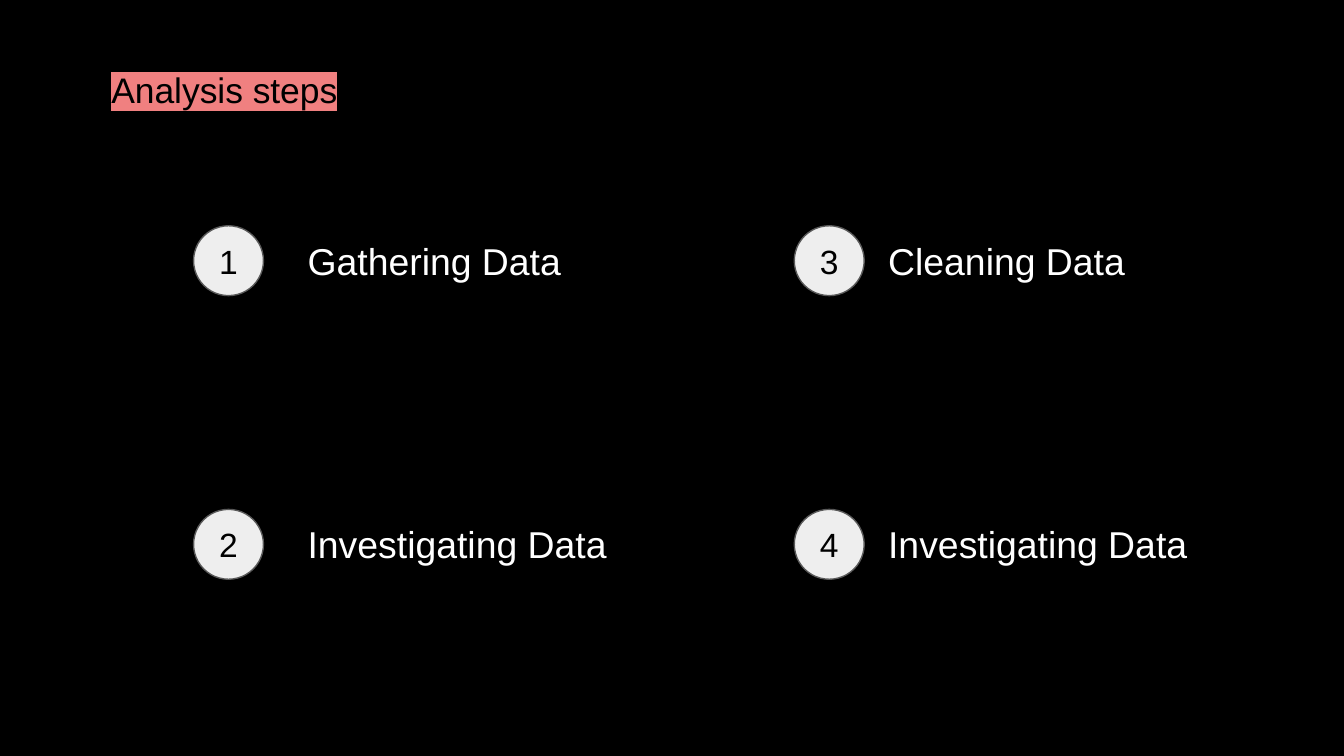
from dataclasses import dataclass

from lxml.etree import SubElement
from pptx import Presentation
from pptx.dml.color import RGBColor
from pptx.enum.shapes import MSO_SHAPE
from pptx.enum.text import MSO_AUTO_SIZE, PP_ALIGN
from pptx.oxml.ns import qn
from pptx.slide import Slide
from pptx.text.text import Font
from pptx.util import Inches, Pt

COLORS = {
    "background": "000000",
    "title": "000000",
    "highlight": "F08080",
    "badge": "EEEEEE",
    "outline": "595959",
    "number": "000000",
    "label": "FFFFFF",
}
FRAME_FORMAT = {
    "word_wrap": True,
    "auto_size": MSO_AUTO_SIZE.SHAPE_TO_FIT_TEXT,
    "margin_left": Inches(0.1),
    "margin_top": Inches(0.1),
    "margin_right": Inches(0.1),
    "margin_bottom": Inches(0.1),
}
SLIDE_WIDTH = Inches(10)
SLIDE_HEIGHT = SLIDE_WIDTH * 9 // 16
BADGE_SIZE = 0.52
ROW_TOPS = (1.68, 3.79)


@dataclass(frozen=True)
class StepColumn:
    badge_left: float
    label_left: float
    labels: tuple[str, ...]


@dataclass(frozen=True)
class TextStyle:
    size: int
    color: str
    align: PP_ALIGN = PP_ALIGN.LEFT


TITLE = TextStyle(19, "title")
NUMBER = TextStyle(18, "number", PP_ALIGN.CENTER)
LABEL = TextStyle(20, "label")
COLUMNS = (
    StepColumn(1.44, 2.19, ("Gathering Data", "Investigating Data")),
    StepColumn(5.91, 6.51, ("Cleaning Data", "Investigating Data")),
)


def rgb(name: str) -> RGBColor:
    return RGBColor.from_string(COLORS[name])


def add_text(slide: Slide, text: str, left: float, top: float,
             width: float, height: float, style: TextStyle) -> Font:
    box = slide.shapes.add_textbox(
        Inches(left), Inches(top), Inches(width), Inches(height))
    for name, value in FRAME_FORMAT.items():
        setattr(box.text_frame, name, value)
    paragraph = box.text_frame.paragraphs[0]
    paragraph.alignment = style.align
    run = paragraph.add_run()
    run.text = text
    for name, value in {"name": "Arial", "size": Pt(style.size)}.items():
        setattr(run.font, name, value)
    run.font.color.rgb = rgb(style.color)
    return run.font


def highlight(font: Font, color: str) -> None:
    properties = font._element
    marker = SubElement(properties, qn("a:highlight"))
    SubElement(marker, qn("a:srgbClr"), val=COLORS[color])
    properties.find(qn("a:solidFill")).addnext(marker)


def add_badge(slide: Slide, number: int, left: float, top: float) -> None:
    badge = slide.shapes.add_shape(
        MSO_SHAPE.OVAL, Inches(left), Inches(top),
        Inches(BADGE_SIZE), Inches(BADGE_SIZE))
    badge.shadow.inherit = False
    badge.fill.solid()
    badge.fill.fore_color.rgb = rgb("badge")
    badge.line.color.rgb = rgb("outline")
    badge.line.width = Pt(0.75)
    add_text(slide, str(number), left + 0.04, top + 0.01, 0.44, 0.5, NUMBER)


def main() -> None:
    deck = Presentation()
    deck.slide_width, deck.slide_height = SLIDE_WIDTH, SLIDE_HEIGHT
    slide = deck.slides.add_slide(deck.slide_layouts[6])
    slide.background.fill.solid()
    slide.background.fill.fore_color.rgb = rgb("background")

    title_font = add_text(slide, "Analysis steps", 0.73, 0.41, 2.33, 0.52, TITLE)
    highlight(title_font, "highlight")

    number = 1
    for column in COLUMNS:
        for top, label in zip(ROW_TOPS, column.labels):
            add_badge(slide, number, column.badge_left, top)
            add_text(slide, label, column.label_left, top - 0.01, 3.11, 0.54, LABEL)
            number += 1

    deck.save("out.pptx")


if __name__ == "__main__":
    main()
